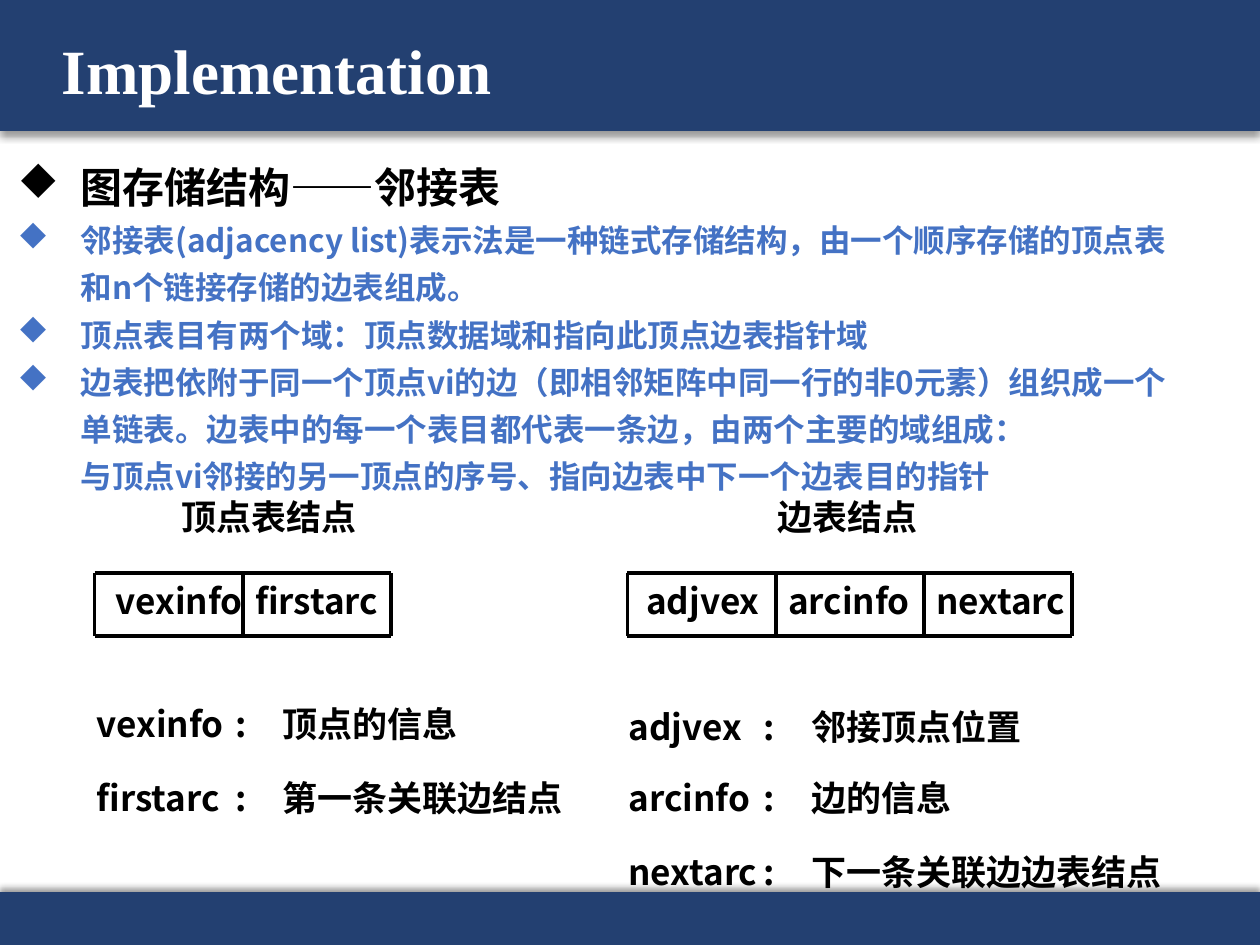
from lxml import etree
from pptx import Presentation
from pptx.dml.color import RGBColor
from pptx.enum.shapes import MSO_CONNECTOR, MSO_SHAPE
from pptx.enum.text import MSO_ANCHOR, MSO_AUTO_SIZE
from pptx.oxml.ns import qn
from pptx.util import Inches, Pt

RECTANGLE = MSO_SHAPE.RECTANGLE
STRAIGHT = MSO_CONNECTOR.STRAIGHT
TOP, MIDDLE = MSO_ANCHOR.TOP, MSO_ANCHOR.MIDDLE
NO_AUTOFIT = MSO_AUTO_SIZE.NONE

WIDTH, HEIGHT = 10, 7.5
CJK, SERIF = "Noto Sans CJK SC", "Times New Roman"
NAVY, BLUE, BLACK, WHITE = "234071", "4472C4", "000000", "FFFFFF"

CELL_W, CELL_H = 1.176, 0.5
LABEL_W, LABEL_H = 1.72, 0.44

POINTS = [
    ("图存储结构——邻接表", 24, BLACK),
    ("邻接表(adjacency list)表示法是一种链式存储结构，由一个顺序存储的顶点表"
     "和n个链接存储的边表组成。", 18, BLUE),
    ("顶点表目有两个域：顶点数据域和指向此顶点边表指针域", 18, BLUE),
    ("边表把依附于同一个顶点vi的边（即相邻矩阵中同一行的非0元素）组织成一个单链表。"
     "边表中的每一个表目都代表一条边，由两个主要的域组成：\v"
     "与顶点vi邻接的另一顶点的序号、指向边表中下一个边表目的指针", 18, BLUE),
]


def color(hex_string):
    return RGBColor.from_string(hex_string)


def child(parent, tag, **attributes):
    return etree.SubElement(parent, qn(tag), attributes)


def place(shape, left, top, width, height):
    shape.left, shape.top = Inches(left), Inches(top)
    shape.width, shape.height = Inches(width), Inches(height)


def style(paragraph, size, hex_string, font_name=CJK):
    font = paragraph.font
    font.size, font.bold, font.name = Pt(size), True, font_name
    font.color.rgb = color(hex_string)
    latin = font._element.find(qn("a:latin"))
    latin.addnext(latin.makeelement(qn("a:ea"), {"typeface": font_name}))


def add_bar(slide, top, height, shadow_degrees):
    """Full-width band behind everything else, with a soft shadow."""
    bar = slide.shapes.add_shape(
        RECTANGLE, 0, Inches(top), Inches(WIDTH), Inches(height))
    bar.fill.solid()
    bar.fill.fore_color.rgb = color(NAVY)
    bar.line.fill.background()
    effects = child(bar._element.spPr, "a:effectLst")
    shadow = child(effects, "a:outerShdw", blurRad=str(Pt(4)), dist=str(Pt(3)),
                   dir=str(shadow_degrees * 60000), rotWithShape="0")
    child(child(shadow, "a:srgbClr", val=BLACK), "a:alpha", val="40000")
    slide.shapes._spTree.insert(2, bar._element)


def fill_title(title, left, top, width, height):
    place(title, left, top, width, height)
    frame = title.text_frame
    frame.vertical_anchor, frame.auto_size = MIDDLE, NO_AUTOFIT
    heading = frame.paragraphs[0]
    heading.text = "Implementation"
    heading.line_spacing = 0.9
    style(heading, 36, WHITE, SERIF)


def fill_points(body, left, top, width, height):
    place(body, left, top, width, height)
    frame = body.text_frame
    frame.vertical_anchor, frame.auto_size = TOP, NO_AUTOFIT
    for index, (text, size, hex_string) in enumerate(POINTS):
        point = frame.add_paragraph() if index else frame.paragraphs[0]
        point.text = text
        point.line_spacing, point.space_before = 1.25, Pt(0)
        properties = point._p.get_or_add_pPr()
        properties.set("marL", str(Inches(0.5)))
        properties.set("indent", str(Inches(-0.5)))
        # "u" is the diamond in Wingdings
        child(properties, "a:buFont", typeface="Wingdings")
        child(properties, "a:buChar", char="u")
        style(point, size, hex_string)


def add_label(shapes, text, left, top, width, tabs=()):
    label = shapes.add_textbox(
        Inches(left), Inches(top), Inches(width), Inches(LABEL_H))
    label.text_frame.word_wrap = True
    paragraph = label.text_frame.paragraphs[0]
    paragraph.text = text
    if tabs:
        stops = child(paragraph._p.get_or_add_pPr(), "a:tabLst")
        for tab in tabs:
            child(stops, "a:tab", pos=str(Inches(tab)), algn="l")
    style(paragraph, 20, BLACK)


def add_rule(shapes, x1, y1, x2, y2):
    rule = shapes.add_connector(
        STRAIGHT, Inches(x1), Inches(y1), Inches(x2), Inches(y2))
    rule.line.color.rgb = color(BLACK)
    rule.line.width = Pt(2.25)
    child(rule._element.spPr, "a:effectLst")


def add_node(slide, left, top, fields, first_inset):
    """Record drawn as a row of cells, one for each field."""
    node = slide.shapes.add_group_shape().shapes
    right, bottom = left + CELL_W * len(fields), top + CELL_H
    for y in (top, bottom):
        add_rule(node, left, y, right, y)
    for column in range(len(fields) + 1):
        x = left + column * CELL_W
        add_rule(node, x, top, x, bottom)
    for column, field in enumerate(fields):
        inset = 0 if column else first_inset
        add_label(node, field, left + column * CELL_W + inset, top, LABEL_W)


def add_glossary(slide, left, width, tabs, entries):
    """Field names, colons and meanings lined up on tab stops."""
    for top, field, meaning in entries:
        add_label(slide.shapes, f"{field}\t:\t{meaning}", left, top, width, tabs)


def main():
    deck = Presentation()
    deck.slide_width, deck.slide_height = Inches(WIDTH), Inches(HEIGHT)
    slide = deck.slides.add_slide(deck.slide_layouts[1])

    # Bands, title and list
    add_bar(slide, 0, 1.04, 90)
    add_bar(slide, 7.08, 0.42, 270)
    fill_title(slide.shapes.title, 0.39, 0.16, 8.62, 0.86)
    title_paragraph = slide.shapes.title.text_frame.paragraphs[0]
    title_paragraph._p.get_or_add_pPr().set("algn", "l")
    fill_points(slide.placeholders[1], 0.04, 1.13, 9.48, 2.88)

    # Vertex node
    add_label(slide.shapes, "顶点表结点", 1.34, 3.88, 2.23)
    add_node(slide, 0.75, 4.55, ["vexinfo", "firstarc"], 0.07)
    add_glossary(slide, 0.67, 4.23, (1.1, 1.47), [
        (5.53, "vexinfo", "顶点的信息"),
        (6.11, "firstarc", "第一条关联边结点"),
    ])

    # Edge node
    add_label(slide.shapes, "边表结点", 6.07, 3.88, 2.8)
    add_node(slide, 4.98, 4.55, ["adjvex", "arcinfo", "nextarc"], 0.05)
    add_glossary(slide, 4.89, 4.96, (1.07, 1.45), [
        (5.55, "adjvex", "邻接顶点位置"),
        (6.11, "arcinfo", "边的信息"),
        (6.7, "nextarc", "下一条关联边边表结点"),
    ])

    deck.save("out.pptx")


if __name__ == "__main__":
    main()
